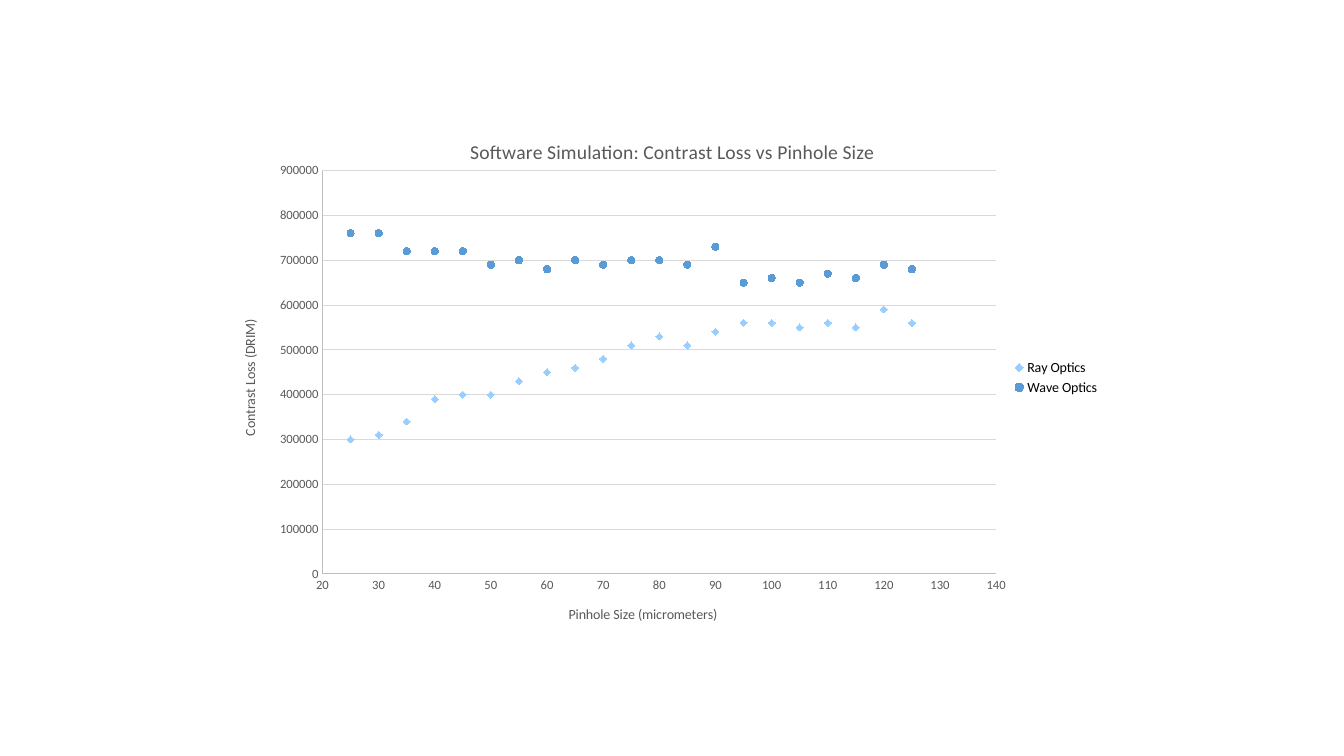
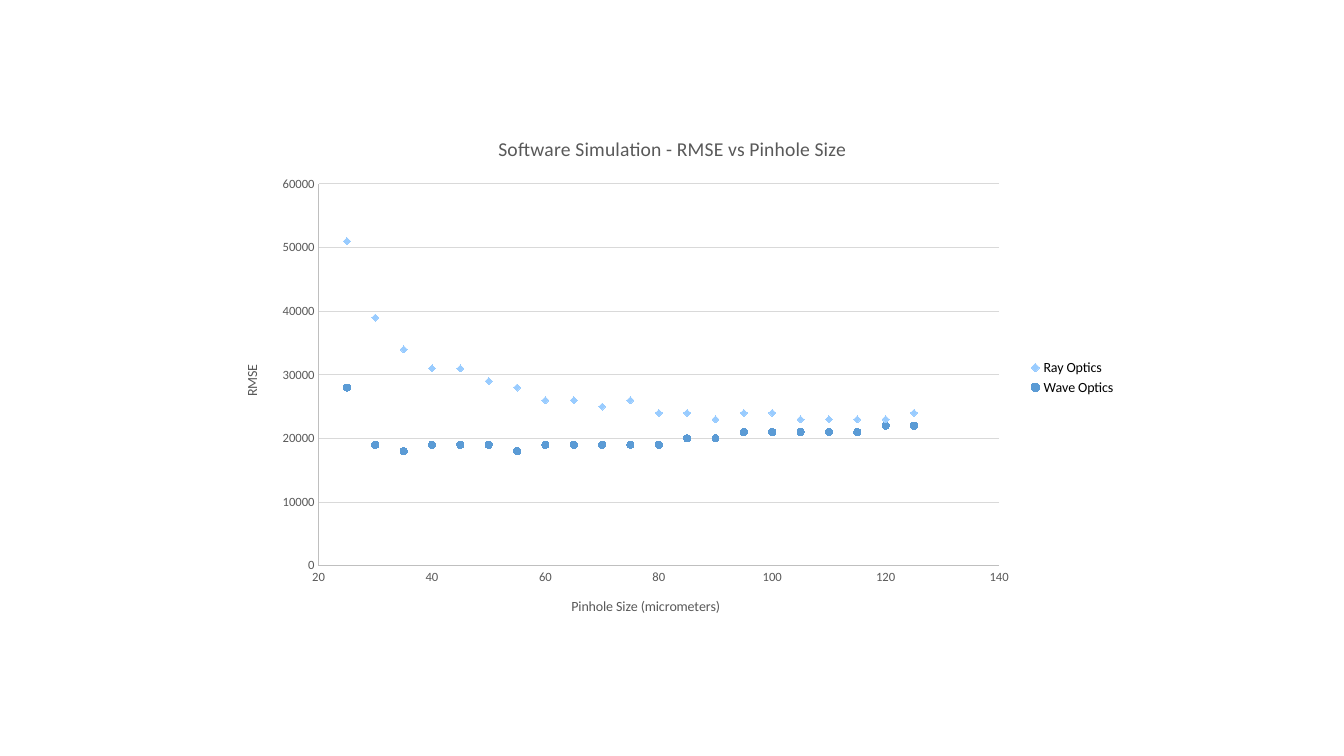
from lxml.etree import SubElement
from pptx import Presentation
from pptx.chart.data import XyChartData
from pptx.dml.color import RGBColor
from pptx.enum.chart import XL_CHART_TYPE, XL_LEGEND_POSITION, XL_MARKER_STYLE, XL_TICK_MARK
from pptx.oxml.ns import qn
from pptx.util import Pt

PX = 9144
FONT = "Calibri"
HUES = {
    "text": "595959",
    "key": "000000",
    "axis": "BFBFBF",
    "grid": "D9D9D9",
    "ray": "99CCFF",
    "wave": "5B9BD5",
}
MARKS = [
    ("Ray Optics", "ray", XL_MARKER_STYLE.DIAMOND),
    ("Wave Optics", "wave", XL_MARKER_STYLE.CIRCLE),
]
SIZES = range(25, 130, 5)

LOSS = {
    "title": "Software Simulation: Contrast Loss vs Pinhole Size",
    "label": "Contrast Loss (DRIM)",
    "box": (233, 118, 868, 513),
    "plot": (0.10, 0.10, 0.77, 0.78),
    "step": 10,
    "top": 900000,
    "unit": 100000,
    "rows": [
        [300000, 310000, 340000, 390000, 400000, 400000, 430000,
         450000, 460000, 480000, 510000, 530000, 510000, 540000,
         560000, 560000, 550000, 560000, 550000, 590000, 560000],
        [760000, 760000, 720000, 720000, 720000, 690000, 700000,
         680000, 700000, 690000, 700000, 700000, 690000, 730000,
         650000, 660000, 650000, 670000, 660000, 690000, 680000],
    ],
}
ERROR = {
    "title": "Software Simulation - RMSE vs Pinhole Size",
    "label": "RMSE",
    "box": (217, 115, 900, 519),
    "plot": (0.11, 0.13, 0.75, 0.73),
    "step": 20,
    "top": 60000,
    "unit": 10000,
    "rows": [
        [51000, 39000, 34000, 31000, 31000, 29000, 28000,
         26000, 26000, 25000, 26000, 24000, 24000, 23000,
         24000, 24000, 23000, 23000, 23000, 23000, 24000],
        [28000, 19000, 18000, 19000, 19000, 19000, 18000,
         19000, 19000, 19000, 19000, 19000, 20000, 20000,
         21000, 21000, 21000, 21000, 21000, 22000, 22000],
    ],
}


def hue(name):
    return RGBColor.from_string(HUES[name])


def set_font(font, size, name="text"):
    font.name = FONT
    font.size = Pt(size)
    font.bold = False
    font.color.rgb = hue(name)


def set_line(line, name):
    line.color.rgb = hue(name)
    line.width = Pt(0.75)


def add_text(frame, text, size):
    run = frame.paragraphs[0].add_run()
    run.text = text
    set_font(run.font, size)


def style_axis(axis, text, low, high, step):
    axis.minimum_scale = low
    axis.maximum_scale = high
    axis.major_unit = step
    axis.major_tick_mark = XL_TICK_MARK.NONE
    axis.minor_tick_mark = XL_TICK_MARK.NONE
    axis.tick_labels.number_format = "General"
    axis.tick_labels.number_format_is_linked = False
    set_font(axis.tick_labels.font, 9)
    set_line(axis.format.line, "axis")
    add_text(axis.axis_title.text_frame, text, 10)


def place_plot(chart, plot):
    area = chart._chartSpace.find(".//" + qn("c:plotArea"))
    for old in area.findall(qn("c:layout")):
        area.remove(old)
    layout = SubElement(area, qn("c:layout"))
    area.insert(0, layout)
    manual = SubElement(layout, qn("c:manualLayout"))
    parts = [("layoutTarget", "inner"), ("xMode", "edge"), ("yMode", "edge")]
    parts += zip("xywh", plot)
    for tag, value in parts:
        SubElement(manual, qn("c:" + tag)).set("val", str(value))


def style_marks(plot):
    plot.vary_by_categories = False
    for series, (_, name, shape) in zip(plot.series, MARKS):
        series.smooth = False
        series.format.line.fill.background()
        mark = series.marker
        mark.style = shape
        mark.size = 5
        mark.format.fill.solid()
        mark.format.fill.fore_color.rgb = hue(name)
        mark.format.line.color.rgb = hue(name)


def add_plot(slide, spec_set):
    data = XyChartData()
    for (name, _, _), row in zip(MARKS, spec_set["rows"]):
        series = data.add_series(name)
        for size, value in zip(SIZES, row):
            series.add_data_point(size, value)
    box = [side * PX for side in spec_set["box"]]
    chart = slide.shapes.add_chart(XL_CHART_TYPE.XY_SCATTER, *box, data).chart
    set_font(chart.font, 10, "key")
    chart.has_title = True
    add_text(chart.chart_title.text_frame, spec_set["title"], 14)
    chart.chart_title.include_in_layout = False
    chart.has_legend = True
    chart.legend.position = XL_LEGEND_POSITION.RIGHT
    chart.legend.include_in_layout = False
    set_font(chart.legend.font, 10, "key")
    across, up = chart.category_axis, chart.value_axis
    style_axis(across, "Pinhole Size (micrometers)", 20, 140, spec_set["step"])
    style_axis(up, spec_set["label"], 0, spec_set["top"], spec_set["unit"])
    up.axis_title.text_frame._txBody.bodyPr.set("rot", "-5400000")
    across.has_major_gridlines = False
    up.has_major_gridlines = True
    set_line(up.major_gridlines.format.line, "grid")
    place_plot(chart, spec_set["plot"])
    style_marks(chart.plots[0])


def main():
    deck = Presentation()
    deck.slide_width = 1333 * PX
    deck.slide_height = 750 * PX
    for spec_set in (LOSS, ERROR):
        add_plot(deck.slides.add_slide(deck.slide_layouts[6]), spec_set)
    deck.save("out.pptx")


if __name__ == "__main__":
    main()
